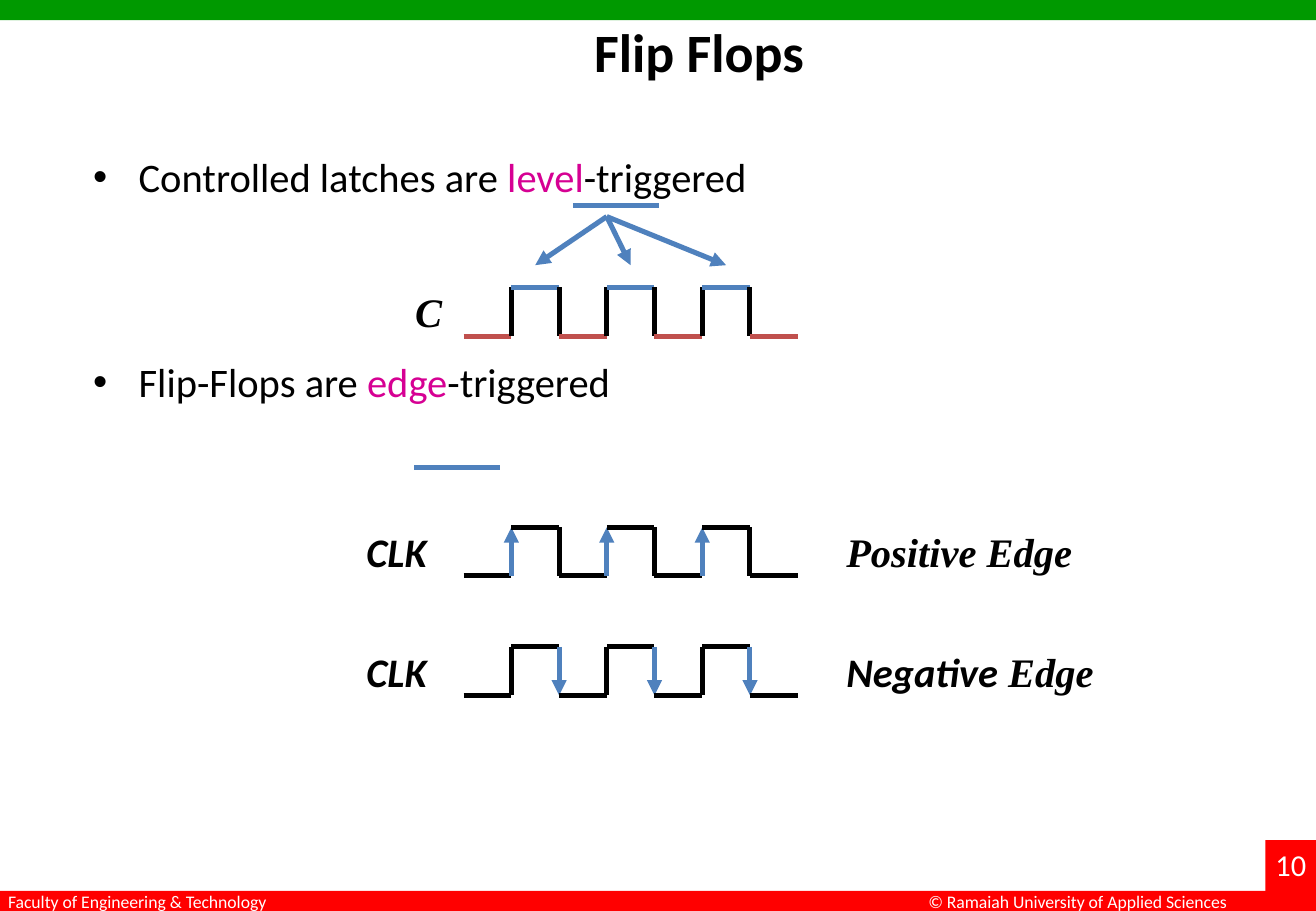
from dataclasses import dataclass

from pptx import Presentation
from pptx.dml.color import RGBColor
from pptx.enum.shapes import MSO_CONNECTOR, MSO_SHAPE
from pptx.enum.text import MSO_ANCHOR, MSO_AUTO_SIZE, PP_ALIGN
from pptx.oxml.ns import qn
from pptx.util import Emu, Pt
from lxml.etree import SubElement

EMU_PER_PX = 7620
SLIDE_WIDTH, SLIDE_HEIGHT = 1300, 900
WAVE_SEGMENTS = 7


@dataclass(frozen=True)
class Theme:
    sans: str = "Calibri"
    serif: str = "Times New Roman"
    black: str = "000000"
    white: str = "FFFFFF"
    green: str = "009900"
    red: str = "FF0000"
    blue: str = "4F81BD"
    brick: str = "C0504D"
    magenta: str = "D60093"
    title_size: float = 32
    body_size: float = 24
    number_size: float = 18
    footer_size: float = 10.5
    line_width: float = 3


THEME = Theme()


def px(value):
    return Emu(round(value * EMU_PER_PX))


def add_run(paragraph, text, size=THEME.body_size, color=THEME.black,
            name=THEME.sans, bold=False, italic=False):
    run = paragraph.add_run()
    run.text = text
    font = run.font
    font.size, font.name = Pt(size), name
    font.bold, font.italic = bold, italic
    font.color.rgb = RGBColor.from_string(color)


def prepare_frame(shape, left_inset=0, top_inset=0):
    frame = shape.text_frame
    frame.word_wrap = True
    frame.auto_size = MSO_AUTO_SIZE.NONE
    frame.vertical_anchor = MSO_ANCHOR.TOP
    frame.margin_left, frame.margin_top = px(left_inset), px(top_inset)
    frame.margin_right = frame.margin_bottom = 0
    return frame


def add_textbox(shapes, box):
    return prepare_frame(shapes.add_textbox(*map(px, box)))


def add_text(shapes, box, text, **style):
    add_run(add_textbox(shapes, box).paragraphs[0], text, **style)


def add_bar(shapes, box, color):
    bar = shapes.add_shape(MSO_SHAPE.RECTANGLE, *map(px, box))
    bar.shadow.inherit = False
    bar.fill.solid()
    bar.fill.fore_color.rgb = RGBColor.from_string(color)
    bar.line.fill.background()


def add_line(shapes, start, end, color=THEME.blue, arrow=False):
    line = shapes.add_connector(MSO_CONNECTOR.STRAIGHT, *map(px, start + end))
    line.line.width = Pt(THEME.line_width)
    line.line.color.rgb = RGBColor.from_string(color)
    properties = line.element.spPr
    if arrow:
        SubElement(properties.find(qn("a:ln")), qn("a:tailEnd"), type="triangle")
    SubElement(properties, qn("a:effectLst"))


def add_frame(slide, box):
    left, top, width, height = box
    shapes = slide.shapes
    right, bottom = left + width, top + height
    bar = 20
    add_bar(shapes, (left, top, width, bar), THEME.green)
    add_bar(shapes, (left, bottom - bar, width, bar), THEME.red)
    add_bar(shapes, (right - 50, bottom - 70, 50, 70), THEME.red)
    footer = dict(size=THEME.footer_size, color=THEME.white)
    add_text(shapes, (left + 8, bottom - bar, 300, bar),
             "Faculty of Engineering & Technology", **footer)
    add_text(shapes, (right - 383, bottom - bar, 320, bar),
             "© Ramaiah University of Applied Sciences", **footer)
    add_text(shapes, (right - 40, bottom - 64, 40, 40), "10",
             size=THEME.number_size, color=THEME.white)


def add_title(slide, box):
    title = slide.shapes.title
    title.left, title.top, title.width, title.height = map(px, box)
    paragraph = prepare_frame(title, left_inset=72, top_inset=6).paragraphs[0]
    paragraph.alignment = PP_ALIGN.LEFT
    paragraph.line_spacing = 0.9
    add_run(paragraph, "Flip Flops", size=THEME.title_size, bold=True)


def add_bullets(slide, box):
    frame = add_textbox(slide.shapes, box)
    statements = [("Controlled latches are ", "level"), ("Flip-Flops are ", "edge")]
    for index, (subject, trigger) in enumerate(statements):
        paragraph = frame.add_paragraph() if index else frame.paragraphs[0]
        if index:
            paragraph.space_before = Pt(93)
        properties = paragraph._p.get_or_add_pPr()
        properties.set("marL", str(px(45)))
        properties.set("indent", str(px(-45)))
        SubElement(properties, qn("a:buFont"), typeface="Arial")
        SubElement(properties, qn("a:buChar"), char="•")
        add_run(paragraph, subject)
        add_run(paragraph, trigger, color=THEME.magenta)
        add_run(paragraph, "-triggered")


def add_wave(slide, box, high=THEME.black, low=THEME.black, active=None):
    left, top, width, height = box
    shapes = slide.shapes.add_group_shape().shapes
    bottom = top + height
    step = width / WAVE_SEGMENTS
    for index in range(WAVE_SEGMENTS):
        x = left + index * step
        is_high = index % 2 == 1
        if index:
            edge = "rising" if is_high else "falling"
            start, end = (bottom, top) if is_high else (top, bottom)
            is_active = edge == active
            add_line(shapes, (x, start), (x, end),
                     THEME.blue if is_active else THEME.black, arrow=is_active)
        y = top if is_high else bottom
        add_line(shapes, (x, y), (x + step, y), high if is_high else low)


def add_level_pointers(slide, box):
    left, top, width, height = box
    step = width / WAVE_SEGMENTS
    for pulse in range(3):
        add_line(slide.shapes, (left + 3 * step, top),
                 (left + (2 * pulse + 1.5) * step, top + height), arrow=True)


def add_clock(slide, box, active, caption):
    left, top, width, height = box
    add_wave(slide, box, active=active)
    label = dict(bold=True, italic=True)
    add_text(slide.shapes, (left - 96, top, 80, height), "CLK", **label)
    frame = add_textbox(slide.shapes, (left + width + 48, top, 280, height))
    for text, name in caption:
        add_run(frame.paragraphs[0], text, name=name, **label)


def main():
    presentation = Presentation()
    presentation.slide_width = px(SLIDE_WIDTH)
    presentation.slide_height = px(SLIDE_HEIGHT)
    slide = presentation.slides.add_slide(presentation.slide_layouts[5])
    wave_left, wave_width, wave_height = 458, 330, 48

    add_frame(slide, (0, 0, SLIDE_WIDTH, SLIDE_HEIGHT))
    add_title(slide, (515, 20, 330, 71))
    add_bullets(slide, (92, 150, 1063, 300))

    add_wave(slide, (wave_left, 284, wave_width, wave_height),
             high=THEME.blue, low=THEME.brick)
    add_text(slide.shapes, (wave_left - 48, 284, 40, wave_height), "C",
             name=THEME.serif, bold=True, italic=True)
    add_level_pointers(slide, (wave_left, 214, wave_width, 48))
    for x, y in [(566, 203), (409, 462)]:
        add_line(slide.shapes, (x, y), (x + 85, y))

    add_clock(slide, (wave_left, 521, wave_width, wave_height), "rising",
              [("Positive Edge", THEME.serif)])
    add_clock(slide, (wave_left, 639, wave_width, wave_height), "falling",
              [("Negative", THEME.sans), (" Edge", THEME.serif)])
    presentation.save("out.pptx")


if __name__ == "__main__":
    main()
